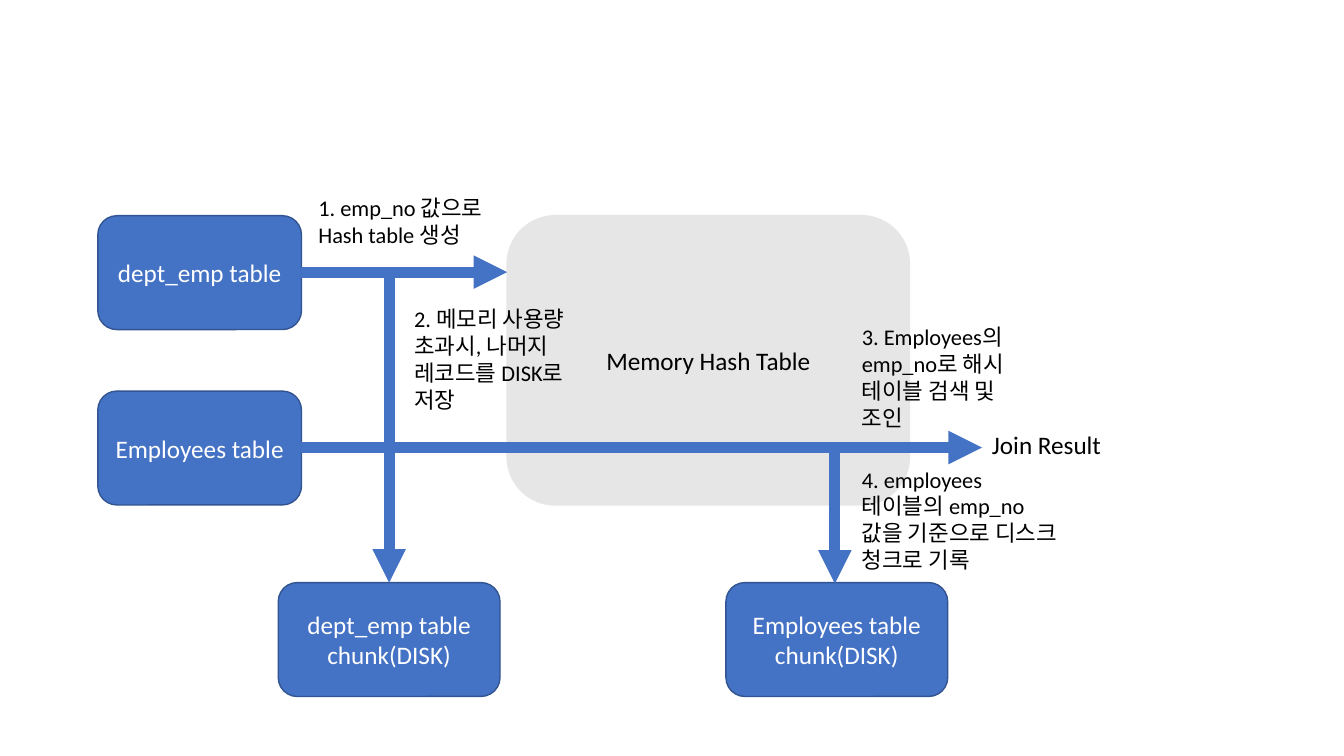
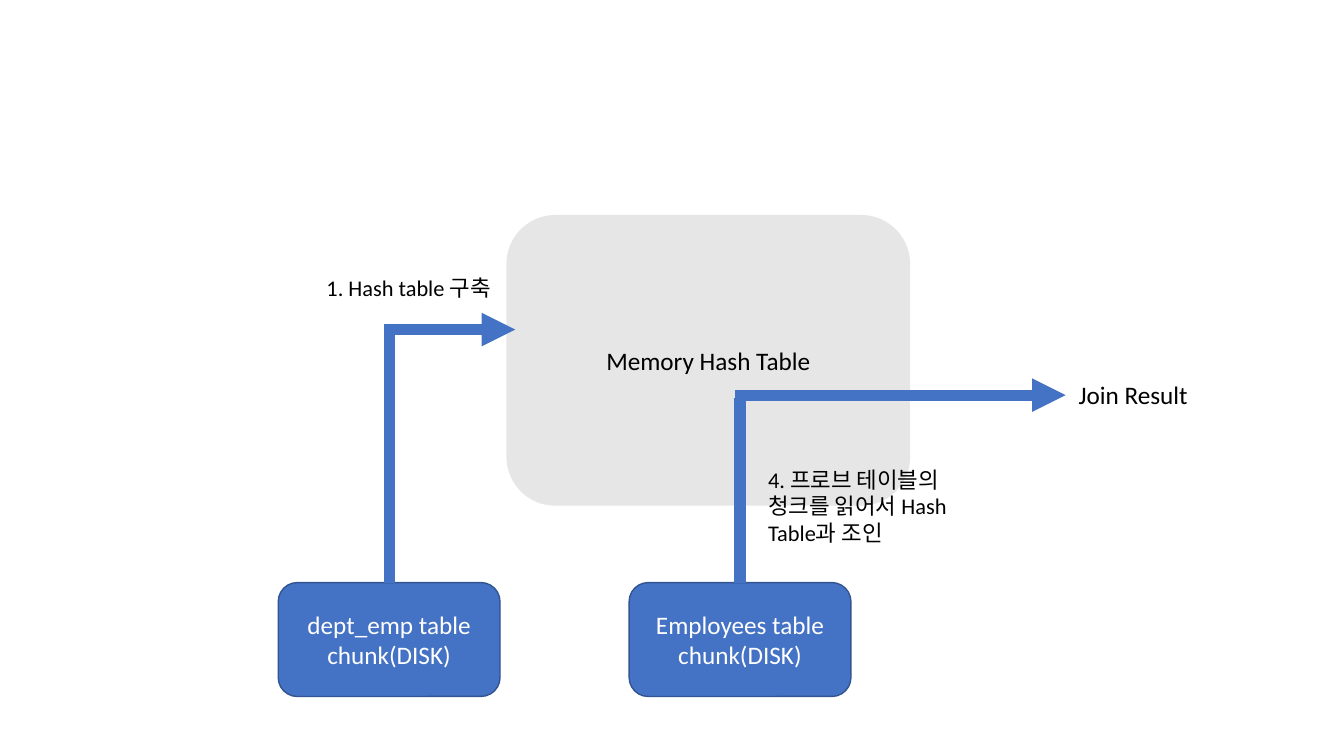
import pptx
import pptx.util
import pptx.dml.color
import pptx.enum.shapes
import pptx.enum.text
import pptx.oxml
import pptx.oxml.ns

PX = 9144
WIDTH, HEIGHT = 1333, 750
FONT = "Calibri"
BLUE, EDGE, GRAY, BLACK, WHITE = "4472C4", "325491", "E7E6E6", "000000", "FFFFFF"
MEMORY = ("Memory Hash Table", 503, 214, 399, 287)
TABLE_SIZE = (202, 113)
CHUNK_SIZE = (220, 113)
CHUNK_TOP = 578
DEPT_CHUNK = ("dept_emp table chunk(DISK)", 276, CHUNK_TOP, *CHUNK_SIZE)

STEPS = [
    {
        "tables": [
            ("dept_emp table", 97, 214, *TABLE_SIZE),
            ("Employees table", 97, 388, *TABLE_SIZE),
            DEPT_CHUNK,
            ("Employees table chunk(DISK)", 720, CHUNK_TOP, *CHUNK_SIZE),
        ],
        "flows": [
            (299, 270, 503, 270, True),
            (299, 444, 974, 444, True),
            (386, 271, 386, CHUNK_TOP, True),
            (828, 444, 828, 579, True),
        ],
        "notes": [
            (["1. emp_no 값으로", "Hash table 생성"], 306, 188, 190, 64, 16),
            (["2. 메모리 사용량 초과시, 나머지 레코드를 DISK로 저장"], 401, 298, 190, 118, 16),
            (["3. Employees의 emp_no로 해시 테이블 검색 및 조인"], 845, 316, 190, 118, 16),
            (["4. employees 테이블의 emp_no 값을 기준으로 디스크 청크로 기록"], 845, 457, 220, 118, 16),
            (["Join Result"], 974, 421, 190, 40, 18),
        ],
    },
    {
        "tables": [
            DEPT_CHUNK,
            ("Employees table chunk(DISK)", 624, CHUNK_TOP, *CHUNK_SIZE),
        ],
        "flows": [
            (381, 327, 511, 327, True),
            (729, 392, 1057, 392, True),
            (386, 325, 386, CHUNK_TOP, False),
            (734, 395, 734, CHUNK_TOP, False),
        ],
        "notes": [
            (["1. Hash table 구축"], 314, 267, 190, 37, 16),
            (["4. 프로브 테이블의 청크를 읽어서 Hash Table과 조인"], 752, 457, 240, 91, 16),
            (["Join Result"], 1060, 371, 190, 40, 18),
        ],
    },
]


def px(*lengths):
    return [pptx.util.Emu(length * PX) for length in lengths]


def color(hex_value):
    return pptx.dml.color.RGBColor.from_string(hex_value)


def add_text(paragraph, text, size, ink):
    run = paragraph.add_run()
    run.text = text
    run.font.name = FONT
    run.font.size = pptx.util.Pt(size)
    run.font.color.rgb = color(ink)


def add_box(slide, label, x, y, w, h, fill, edge, ink):
    box = slide.shapes.add_shape(
        pptx.enum.shapes.MSO_SHAPE.ROUNDED_RECTANGLE, *px(x, y, w, h))
    box.shadow.inherit = False
    box.fill.solid()
    box.fill.fore_color.rgb = color(fill)
    box.line.color.rgb = color(edge)
    box.line.width = pptx.util.Pt(1)
    frame = box.text_frame
    frame.word_wrap = True
    frame.vertical_anchor = pptx.enum.text.MSO_ANCHOR.MIDDLE
    frame.paragraphs[0].alignment = pptx.enum.text.PP_ALIGN.CENTER
    add_text(frame.paragraphs[0], label, 18, ink)


def add_flow(slide, x1, y1, x2, y2, has_head):
    flow = slide.shapes.add_connector(
        pptx.enum.shapes.MSO_CONNECTOR.STRAIGHT, *px(x1, y1, x2, y2))
    flow.line.color.rgb = color(BLUE)
    flow.line.width = pptx.util.Pt(8)
    properties = flow.line._get_or_add_ln()
    if has_head:
        head = pptx.oxml.parse_xml(
            f'<a:tailEnd {pptx.oxml.ns.nsdecls("a")} type="triangle"/>')
        properties.append(head)
    properties.addnext(pptx.oxml.parse_xml(
        f'<a:effectLst {pptx.oxml.ns.nsdecls("a")}/>'))


def add_note(slide, lines, x, y, w, h, size):
    frame = slide.shapes.add_textbox(*px(x, y, w, h)).text_frame
    frame.word_wrap = True
    frame.auto_size = pptx.enum.text.MSO_AUTO_SIZE.SHAPE_TO_FIT_TEXT
    for index, line in enumerate(lines):
        paragraph = frame.add_paragraph() if index else frame.paragraphs[0]
        add_text(paragraph, line, size, BLACK)


def main():
    deck = pptx.Presentation()
    deck.slide_width, deck.slide_height = px(WIDTH, HEIGHT)
    for step in STEPS:
        slide = deck.slides.add_slide(deck.slide_layouts[6])
        add_box(slide, *MEMORY, GRAY, GRAY, BLACK)
        for table in step["tables"]:
            add_box(slide, *table, BLUE, EDGE, WHITE)
        for flow in step["flows"]:
            add_flow(slide, *flow)
        for note in step["notes"]:
            add_note(slide, *note)
    deck.save("out.pptx")


if __name__ == "__main__":
    main()
